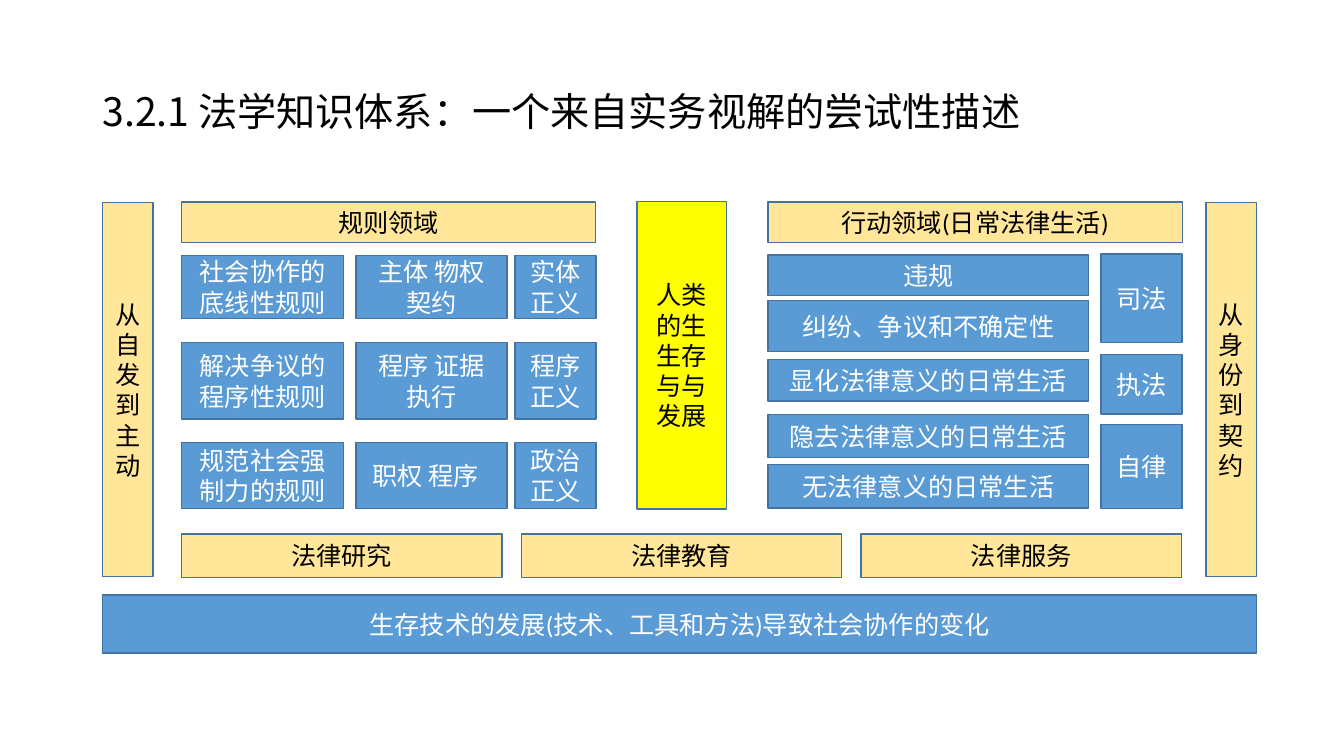
from pptx import Presentation
from pptx.dml.color import RGBColor
from pptx.enum.shapes import MSO_SHAPE
from pptx.enum.text import MSO_ANCHOR, PP_ALIGN
from pptx.util import Pt

RECT = MSO_SHAPE.RECTANGLE
MID = MSO_ANCHOR.MIDDLE
LEFT, CENTER = PP_ALIGN.LEFT, PP_ALIGN.CENTER
BLUE = RGBColor(0x5B, 0x9B, 0xD5)
SAND = RGBColor(0xFF, 0xE6, 0x99)
YELLOW = RGBColor(0xFF, 0xFF, 0x00)
EDGE = RGBColor(0x43, 0x73, 0x9E)
BLACK = RGBColor(0, 0, 0)
WHITE = RGBColor(0xFF, 0xFF, 0xFF)

TITLE = "3.2.1 法学知识体系：一个来自实务视解的尝试性描述"
RULES = [
    ("社会协作的底线性规则", "主体 物权 契约", "实体正义"),
    ("解决争议的程序性规则", "程序 证据 执行", "程序正义"),
    ("规范社会强制力的规则", "职权 程序", "政治正义"),
]
RULE_COLS = [(129.6, 116), (254.2, 108), (367.9, 57.8)]
RULE_ROWS = [(182.6, 44.8), (244.6, 54.8), (316.1, 47)]
ACTS = [
    ("违规", 182, 29),
    ("纠纷、争议和不确定性", 214.6, 36.6),
    ("显化法律意义的日常生活", 257, 29.6),
    ("隐去法律意义的日常生活", 296, 31),
    ("无法律意义的日常生活", 332, 31),
]
GUARDS = [("司法", 181.4, 63.4), ("执法", 253.4, 42.5), ("自律", 303.2, 59.9)]
FIELDS = ["法律研究", "法律教育", "法律服务"]
HEADS = [("规则领域", 129.6), ("行动领域(日常法律生活)", 548.5)]
SIDES = [("从自发到主动", 73.4), ("从身份到契约", 861.6)]
CORE = "人类的生生存与与发展"
BASE = "生存技术的发展(技术、工具和方法)导致社会协作的变化"

deck = Presentation()
deck.slide_width, deck.slide_height = Pt(960), Pt(540)
slide = deck.slides.add_slide(deck.slide_layouts[5])


def write(shape, text, align, fmt):
    frame = shape.text_frame
    frame.word_wrap = True
    frame.vertical_anchor = MID
    para = frame.paragraphs[0]
    para.alignment = align
    run = para.add_run()
    run.text = text
    for key, value in fmt.items():
        if key == "color":
            run.font.color.rgb = value
        else:
            setattr(run.font, key, value)
    return para


def box(text, x, y, w, h, fill):
    shape = slide.shapes.add_shape(RECT, Pt(x), Pt(y), Pt(w), Pt(h))
    shape.shadow.inherit = False
    shape.fill.solid()
    shape.fill.fore_color.rgb = fill
    shape.line.color.rgb = EDGE
    shape.line.width = Pt(1)
    color = WHITE if fill == BLUE else BLACK
    write(shape, text, CENTER, {"size": Pt(18), "name": "Calibri", "color": color})
    return shape


title = slide.shapes.title
title.left, title.top, title.width, title.height = Pt(66), Pt(28.8), Pt(828), Pt(104.4)
look = {"size": Pt(28), "name": "Noto Sans CJK SC", "color": BLACK}
write(title, TITLE, LEFT, look).line_spacing = 0.9

for text, x in HEADS:
    box(text, x, 144.2, 296, 29, SAND)
for texts, (y, h) in zip(RULES, RULE_ROWS):
    cells = [box(text, x, y, w, h, BLUE) for text, (x, w) in zip(texts, RULE_COLS)]
cells[1].text_frame.margin_right = Pt(16)
box(CORE, 455, 144, 64, 219.5, YELLOW)
for text, y, h in ACTS:
    box(text, 548.5, y, 229, h, BLUE)
for text, y, h in GUARDS:
    box(text, 786.4, y, 58, h, BLUE)
for i, text in enumerate(FIELDS):
    box(text, 129.6 + i * 242.7, 381.4, 229, 31, SAND)
for text, x in SIDES:
    box(text, x, 144.8, 36, 267, SAND)
box(BASE, 73.4, 425, 824.2, 41.6, BLUE)

deck.save("out.pptx")
